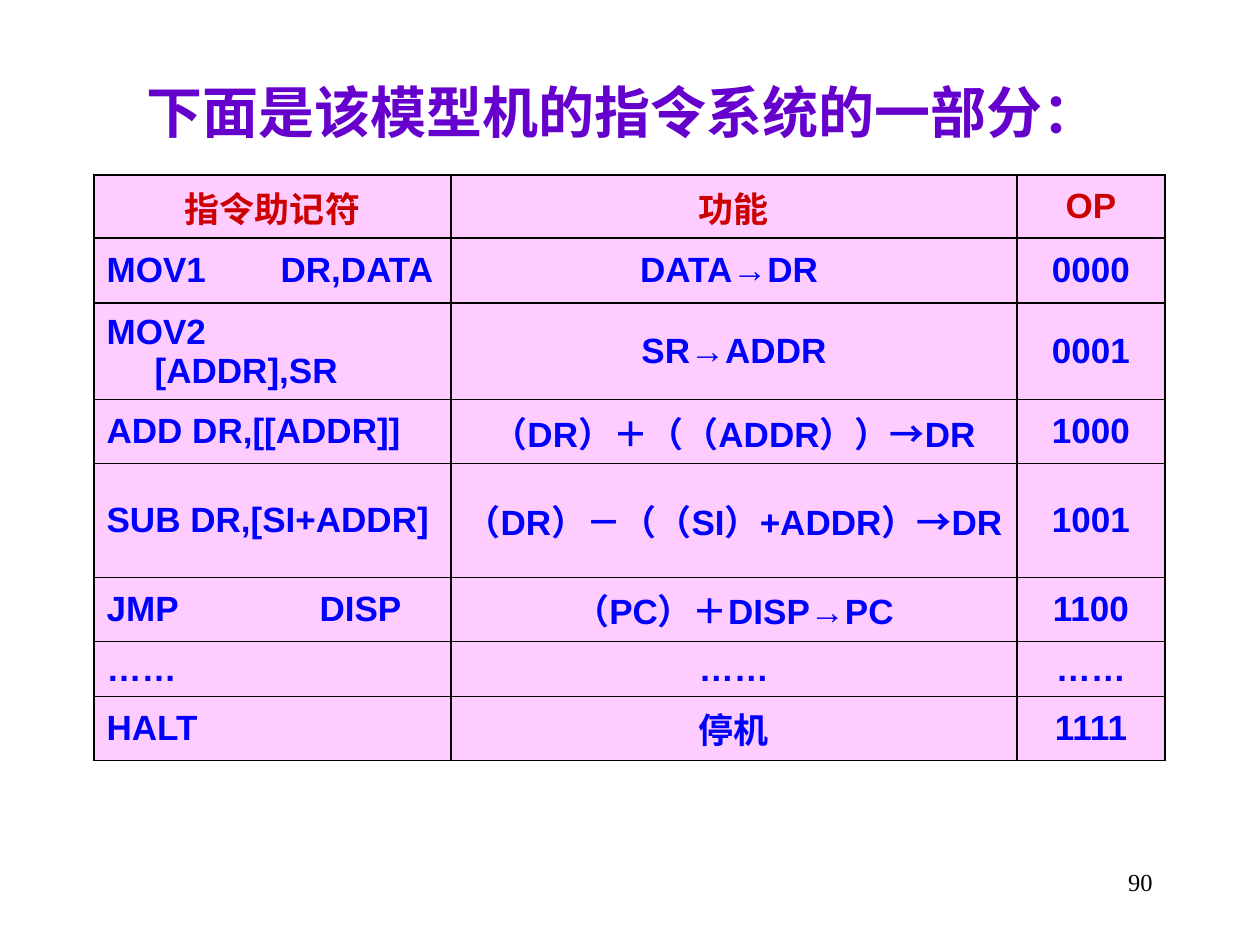
from dataclasses import dataclass

from lxml import etree
from pptx import Presentation
from pptx.dml.color import RGBColor
from pptx.enum.text import MSO_ANCHOR, PP_ALIGN
from pptx.oxml.ns import qn
from pptx.util import Emu, Pt

LEFT, CENTER, RIGHT = PP_ALIGN.LEFT, PP_ALIGN.CENTER, PP_ALIGN.RIGHT
TOP, MIDDLE = MSO_ANCHOR.TOP, MSO_ANCHOR.MIDDLE
EMU_PER_PX = 914400 / 126
HANGING_INDENT = 48
TAB_SIZE = 126
WIDE_TABS = {"JMP\tDISP": 165}

COLUMN_WIDTHS = [357, 566, 148]
ROW_HEIGHTS = [63, 65, 90, 64, 114, 64, 51, 64]
INSTRUCTIONS = [
    ("指令助记符", "功能", "OP"),
    ("MOV1\tDR,DATA", "DATA→DR ", "0000"),
    ("MOV2\t[ADDR],SR", "SR→ADDR", "0001"),
    ("ADD DR,[[ADDR]]", "（DR）＋（（ADDR））→DR", "1000"),
    ("SUB DR,[SI+ADDR]", "（DR）－（（SI）+ADDR）→DR", "1001"),
    ("JMP\tDISP", "（PC）＋DISP→PC", "1100"),
    ("……", "……", "……"),
    ("HALT", "停机", "1111"),
]


@dataclass(frozen=True)
class Theme:
    border: str = "000000"
    cell: RGBColor = RGBColor(0xFF, 0xCC, 0xFF)
    title: tuple = ("Times New Roman", 32, True, RGBColor(0x66, 0x00, 0xCC))
    header: tuple = ("Arial", 20, True, RGBColor(0xCC, 0x00, 0x00))
    body: tuple = ("Arial", 20, True, RGBColor(0x00, 0x00, 0xFF))
    number: tuple = ("Times New Roman", 14, False, RGBColor(0x00, 0x00, 0x00))


THEME = Theme()


def px(length):
    return Emu(round(length * EMU_PER_PX))


def write(paragraph, text, style, align):
    name, size, bold, color = style
    paragraph.text = text
    paragraph.alignment = align
    font = paragraph.runs[0].font
    for key, value in {"name": name, "size": Pt(size), "bold": bold}.items():
        setattr(font, key, value)
    font.color.rgb = color


def add_label(slide, box, text, style, align, anchor):
    frame = slide.shapes.add_textbox(*map(px, box)).text_frame
    frame.word_wrap = True
    frame.vertical_anchor = anchor
    write(frame.paragraphs[0], text, style, align)


def draw_borders(cell):
    properties = cell._tc.get_or_add_tcPr()
    for position, side in enumerate(("lnL", "lnR", "lnT", "lnB")):
        line = etree.Element(qn(f"a:{side}"), w=str(Pt(1)))
        fill = etree.SubElement(line, qn("a:solidFill"))
        etree.SubElement(fill, qn("a:srgbClr"), val=THEME.border)
        properties.insert(position, line)


def indent(paragraph, tab):
    properties = paragraph._p.get_or_add_pPr()
    lengths = {"marL": HANGING_INDENT, "indent": -HANGING_INDENT, "defTabSz": tab}
    for key, length in lengths.items():
        properties.set(key, str(px(length)))


def fill_cell(cell, text, style, align):
    cell.fill.solid()
    cell.fill.fore_color.rgb = THEME.cell
    cell.vertical_anchor = MIDDLE
    draw_borders(cell)
    paragraph = cell.text_frame.paragraphs[0]
    indent(paragraph, WIDE_TABS.get(text, TAB_SIZE))
    write(paragraph, text, style, align)


def add_instruction_table(slide, left, top):
    table = slide.shapes.add_table(
        len(ROW_HEIGHTS), len(COLUMN_WIDTHS), px(left), px(top),
        px(sum(COLUMN_WIDTHS)), px(sum(ROW_HEIGHTS)),
    ).table
    for column, width in zip(table.columns, COLUMN_WIDTHS):
        column.width = px(width)
    for r, (height, instruction) in enumerate(zip(ROW_HEIGHTS, INSTRUCTIONS)):
        table.rows[r].height = px(height)
        for c, text in enumerate(instruction):
            style = THEME.body if r else THEME.header
            align = LEFT if r and c == 0 else CENTER
            fill_cell(table.cell(r, c), text, style, align)


def main():
    deck = Presentation()
    deck.slide_width, deck.slide_height = px(1260), px(945)
    slide = deck.slides.add_slide(deck.slide_layouts[6])
    add_label(slide, (94, 66, 1071, 91), "下面是该模型机的指令系统的一部分： ",
              THEME.title, CENTER, MIDDLE)
    add_instruction_table(slide, 94, 175)
    add_label(slide, (903, 861, 262, 63), "90", THEME.number, RIGHT, TOP)
    deck.save("out.pptx")


if __name__ == "__main__":
    main()
